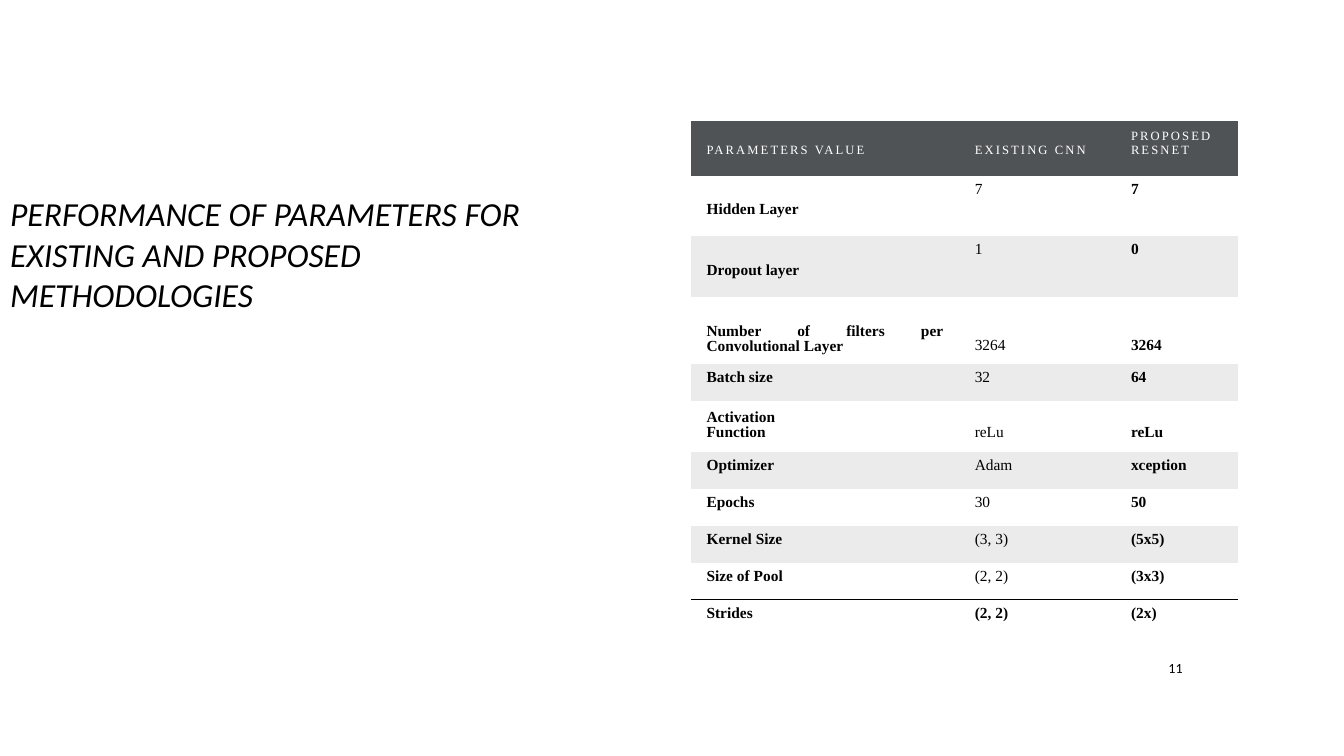
from dataclasses import dataclass

from lxml import etree
from pptx import Presentation
from pptx.dml.color import RGBColor
from pptx.enum.text import MSO_ANCHOR, MSO_AUTO_SIZE, PP_ALIGN
from pptx.oxml.ns import qn
from pptx.util import Pt


@dataclass(frozen=True)
class Theme:
    black: RGBColor = RGBColor(0, 0, 0)
    white: RGBColor = RGBColor(255, 255, 255)
    header: RGBColor = RGBColor(0x50, 0x53, 0x56)
    band: RGBColor = RGBColor(0xEB, 0xEB, 0xEB)
    sans: str = "Calibri"
    serif: str = "Times New Roman"
    title: float = 24
    body: float = 11
    label: float = 9
    number: float = 10


THEME = Theme()
NO_STYLE = "{2D5ABB26-0587-4C30-8999-92F81FD0307C}"
COLUMNS = (191.6, 111.6, 87.8)
SIDE, TOP, LINE = 11.3, 6, 9.6

# Row height, first-column and value-column drop below the top margin, texts
ROWS = [
    (39.5, (10, 10, 0), ("PARAMETERS VALUE", "EXISTING CNN", "PROPOSED\nRESNET")),
    (43, (14.4, 0, 0), ("Hidden Layer", "7", "7")),
    (43, (14.4, 0, 0), ("Dropout layer", "1", "0")),
    (48.2, (14.7, 25.6, 25.6),
     ("Number of filters per Convolutional Layer", "3264", "3264")),
    (26.3, (0, 0, 0), ("Batch size", "32", "64")),
    (36.9, (0, 12.7, 12.7), ("Activation\nFunction", "reLu", "reLu")),
    (26.3, (0, 0, 0), ("Optimizer", "Adam", "xception")),
    (26.3, (0, 0, 0), ("Epochs", "30", "50")),
    (26.3, (0, 0, 0), ("Kernel Size", "(3, 3)", "(5x5)")),
    (26.3, (0, 0, 0), ("Size of Pool", "(2, 2)", "(3x3)")),
    (26.3, (0, 0, 0), ("Strides", "(2, 2)", "(2x)")),
]
FILTERS_ROW, LAST_ROW = 3, len(ROWS) - 1


def style_run(r, font, size, color, bold=False, italic=False):
    r.font.name = font
    r.font.size = Pt(size)
    r.font.color.rgb = color
    r.font.bold = bold
    r.font.italic = italic


def add_title(s, left, top, width, height):
    sp = s.shapes.title
    sp.left, sp.top, sp.width, sp.height = map(Pt, (left, top, width, height))
    tf = sp.text_frame
    tf.text = "PERFORMANCE OF PARAMETERS FOR EXISTING AND PROPOSED METHODOLOGIES"
    tf.word_wrap = True
    tf.auto_size = MSO_AUTO_SIZE.NONE
    tf.vertical_anchor = MSO_ANCHOR.BOTTOM
    tf.margin_right, tf.margin_bottom = Pt(20), Pt(52)
    p = tf.paragraphs[0]
    p.alignment = PP_ALIGN.LEFT
    style_run(p.runs[0], THEME.sans, THEME.title, THEME.black, italic=True)


def add_rule(cell, side):
    """Draw a black border on one side (lnT or lnB) of the cell."""
    line = etree.Element(qn(f"a:{side}"), w=str(Pt(1)))
    fill = etree.SubElement(line, qn("a:solidFill"))
    etree.SubElement(fill, qn("a:srgbClr"), val=str(THEME.black))
    cell._tc.get_or_add_tcPr().insert(0, line)


def fill_cell(cell, row, col, drop, text):
    cell.margin_left = cell.margin_right = Pt(SIDE)
    cell.margin_top, cell.margin_bottom = Pt(TOP + drop), Pt(5)
    if row == 0 or row % 2 == 0 and row != LAST_ROW:
        cell.fill.solid()
        cell.fill.fore_color.rgb = THEME.band if row else THEME.header
    else:
        cell.fill.background()

    cell.text_frame.text = text
    paragraphs = cell.text_frame.paragraphs
    for i, p in enumerate(paragraphs):
        if i or len(paragraphs) == 1:
            p.line_spacing = Pt(LINE)
        if i:
            p.space_before = Pt(0.5)
        if row == FILTERS_ROW and col == 0:
            p.alignment = PP_ALIGN.JUSTIFY
            p.line_spacing = Pt(10.5)
        r = p.runs[0]
        if row:
            bold = col != 1 or row == LAST_ROW
            style_run(r, THEME.serif, THEME.body, THEME.black, bold)
        else:
            style_run(r, THEME.serif, THEME.label, THEME.white)
            r.font._element.set("spc", "150")


def add_parameters_table(s, left, top):
    width, height = sum(COLUMNS), sum(row[0] for row in ROWS)
    frame = s.shapes.add_table(len(ROWS), len(COLUMNS),
                               *map(Pt, (left, top, width, height)))
    table = frame.table
    table._tbl.tblPr.find(qn("a:tableStyleId")).text = NO_STYLE
    for column, column_width in zip(table.columns, COLUMNS):
        column.width = Pt(column_width)
    for i, (row_height, drops, texts) in enumerate(ROWS):
        table.rows[i].height = Pt(row_height)
        for j, (drop, text) in enumerate(zip(drops, texts)):
            fill_cell(table.cell(i, j), i, j, drop, text)
    for j in range(len(COLUMNS)):
        add_rule(table.cell(LAST_ROW - 1, j), "lnB")
        add_rule(table.cell(LAST_ROW, j), "lnT")


def add_slide_number(s, left, top, width, height):
    tf = s.shapes.add_textbox(*map(Pt, (left, top, width, height))).text_frame
    tf.text = "11"
    tf.word_wrap = True
    tf.vertical_anchor = MSO_ANCHOR.MIDDLE
    p = tf.paragraphs[0]
    p.alignment = PP_ALIGN.RIGHT
    style_run(p.runs[0], THEME.sans, THEME.number, THEME.black)


def main():
    prs = Presentation()
    prs.slide_width, prs.slide_height = Pt(960), Pt(540)
    s = prs.slides.add_slide(prs.slide_layouts[5])
    add_title(s, 0, 11.5, 442, 265)
    add_slide_number(s, 808.6, 462.2, 43.2, 29.5)
    add_parameters_table(s, 493.4, 86.4)
    prs.save("out.pptx")


if __name__ == "__main__":
    main()
